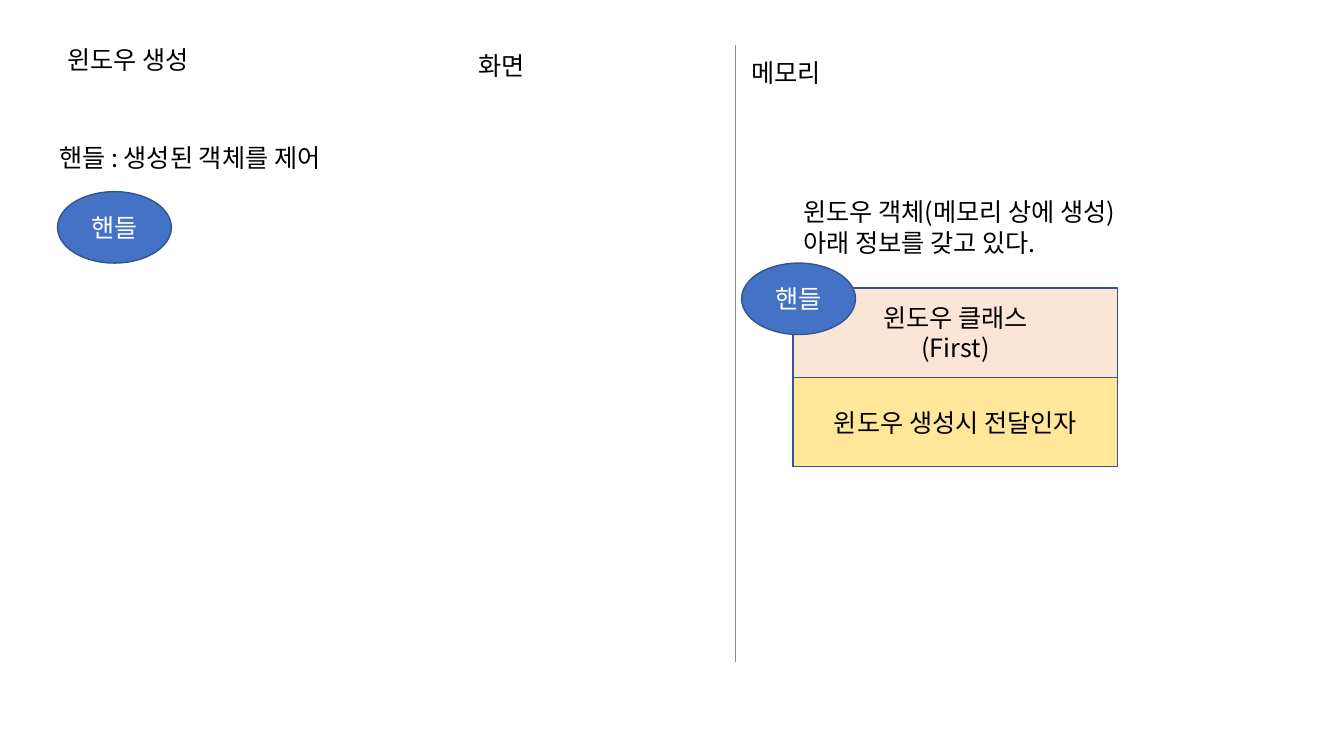
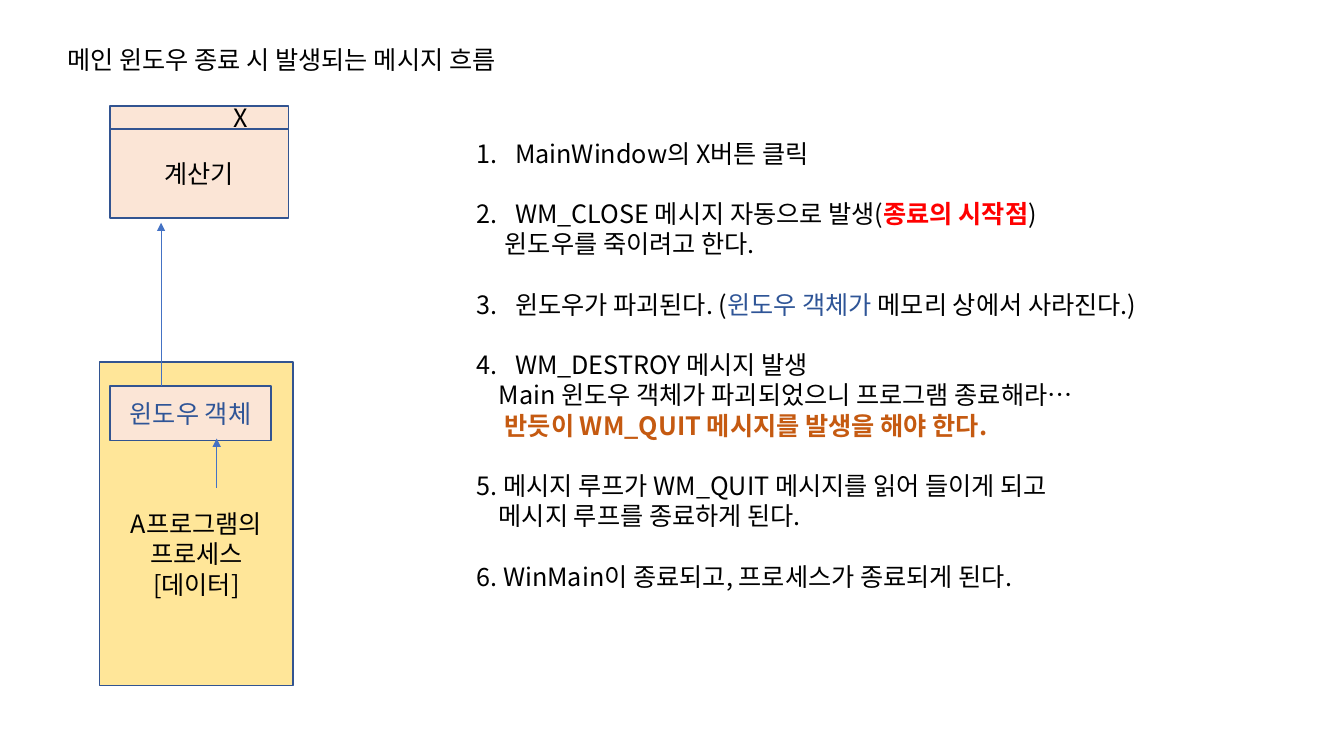
"""Build two slides on how a window is created and how it closes."""
from dataclasses import dataclass

from lxml import etree
from pptx import Presentation
from pptx.dml.color import RGBColor
from pptx.enum.shapes import MSO_CONNECTOR, MSO_SHAPE
from pptx.enum.text import MSO_ANCHOR, PP_ALIGN
from pptx.oxml.ns import qn
from pptx.util import Cm, Pt

RECT, OVAL = MSO_SHAPE.RECTANGLE, MSO_SHAPE.OVAL
LEFT, CENTER = PP_ALIGN.LEFT, PP_ALIGN.CENTER
MIDDLE = MSO_ANCHOR.MIDDLE
STRAIGHT = MSO_CONNECTOR.STRAIGHT


@dataclass(frozen=True)
class Theme:
    font: str = "Noto Sans CJK KR"
    size: float = 18
    lead: float = 21.6
    edge: float = 1
    thin: float = 0.5
    black: str = "000000"
    white: str = "FFFFFF"
    gray: str = "8C8C8C"
    blue: str = "4472C4"
    navy: str = "325491"
    ink: str = "2F5597"
    peach: str = "FBE5D6"
    gold: str = "FFE699"
    red: str = "FF0000"
    rust: str = "C55A11"


theme = Theme()


def write(frame, text, color=theme.black, align=LEFT):
    """Fill a frame, one paragraph a line, with runs split at bars."""
    frame.word_wrap = True
    for row, line in enumerate(text.split("\n")):
        para = frame.add_paragraph() if row else frame.paragraphs[0]
        para.alignment = align
        para.line_spacing = Pt(theme.lead)
        for part in line.split("|"):
            run = para.add_run()
            run.text = part
            run.font.size = Pt(theme.size)
            run.font.name = theme.font
            run.font.color.rgb = RGBColor.from_string(color)
            east = etree.SubElement(run._r.get_or_add_rPr(), qn("a:ea"))
            east.set("typeface", theme.font)


def box(slide, kind, text, place, fill, color=theme.black):
    """Add an outlined shape with centred text and return its frame."""
    shape = slide.shapes.add_shape(kind, *map(Cm, place))
    shape.shadow.inherit = False
    shape.fill.solid()
    shape.fill.fore_color.rgb = RGBColor.from_string(fill)
    shape.line.color.rgb = RGBColor.from_string(theme.navy)
    shape.line.width = Pt(theme.edge)
    frame = shape.text_frame
    frame.vertical_anchor = MIDDLE
    write(frame, text, color, CENTER)
    return frame


deck = Presentation()
deck.slide_width, deck.slide_height = Cm(33.87), Cm(19.05)
blank = deck.slide_layouts[6]
birth, close = [deck.slides.add_slide(blank) for _ in range(2)]

labels = (
    (birth, "윈도우 생성", 1.45, 0.99, 3.94, 1.02),
    (birth, "화면", 11.81, 1.14, 1.8, 1.02),
    (birth, "메모리", 18.69, 1.32, 2.44, 1.02),
    (birth, "핸들 : 생성된 객체를 제어", 1.24, 3.45, 7.98, 1.02),
    (birth, "윈도우 객체(메모리 상에 생성)\n아래 정보를 갖고 있다.",
     19.99, 4.83, 9.27, 1.8),
    (close, "메인 윈도우 종료 시 발생되는 메시지 흐름", 1.45, 0.99, 12.78, 1.02),
)
for slide, text, *place in labels:
    write(slide.shapes.add_textbox(*map(Cm, place)).text_frame, text)

parts = (("윈도우 클래스\n(First)", theme.peach),
         ("윈도우 생성시 전달인자", theme.gold))
for row, (text, fill) in enumerate(parts):
    box(birth, RECT, text, (19.99, 7.26 + row * 2.25, 8.18, 2.25), fill)
for left, top in ((18.69, 6.63), (1.45, 4.83)):
    box(birth, OVAL, "핸들", (left, top, 2.87, 1.8), theme.blue, theme.white)

box(close, RECT, "계산기", (2.77, 3.25, 4.5, 2.25), theme.peach)
bar = box(close, RECT, "X", (2.77, 2.67, 4.5, 0.58), theme.peach)
bar.margin_left = Cm(2.36)
data = box(close, RECT, "A프로그램의\n프로세스\n[데이터]",
           (2.51, 9.12, 4.88, 8.15), theme.gold)
data.margin_top = Cm(1.65)
box(close, RECT, "윈도우 객체", (2.77, 9.73, 4.06, 1.37), theme.peach, theme.ink)

steps = (
    (1, 0.97, "MainWindow의 X버튼 클릭"),
    (2, 0.97, "WM_CLOSE 메시지 자동으로 발생(|종료의 시작점|)"),
    (0, 0.71, "윈도우를 죽이려고 한다."),
    (3, 0.97, "윈도우가 파괴된다. (|윈도우 객체가 |메모리 상에서 사라진다.)"),
    (4, 0.97, "WM_DESTROY 메시지 발생"),
    (0, 0.56, "Main 윈도우 객체가 파괴되었으니 프로그램 종료해라…"),
    (0, 0.71, "반듯이 WM_QUIT 메시지를 발생을 해야 한다."),
    (5, 0, "5. 메시지 루프가 WM_QUIT 메시지를 읽어 들이게 되고"),
    (0, 0.56, "메시지 루프를 종료하게 된다."),
    (6, 0, "6. WinMain이 종료되고, 프로세스가 종료되게 된다."),
)
flow = close.shapes.add_textbox(Cm(11.76), Cm(3.35), Cm(19.33), Cm(11.79)).text_frame
write(flow, "\n".join(text for _, _, text in steps))
for para, (num, dent, _) in zip(flow.paragraphs, steps):
    props = para._p.get_or_add_pPr()
    props.set("marL", str(Cm(dent)))
    if num > 1:
        para.space_before = Pt(theme.lead)
    if num and dent:
        props.set("indent", str(-Cm(dent)))
        mark = etree.SubElement(props, qn("a:buAutoNum"))
        mark.set("type", "arabicPeriod")
        mark.set("startAt", str(num))

accents = ((1, 1, theme.red, True), (3, 1, theme.ink, False),
           (6, 0, theme.rust, True))
for row, spot, color, bold in accents:
    font = flow.paragraphs[row].runs[spot].font
    font.color.rgb = RGBColor.from_string(color)
    font.bold = bold

lines = (
    (birth, 18.52, 16.69, 1.14, theme.gray, False),
    (close, 4.06, 9.73, 5.61, theme.blue, True),
    (close, 5.46, 12.29, 11.05, theme.blue, True),
)
for slide, left, start, end, color, arrow in lines:
    line = slide.shapes.add_connector(STRAIGHT, Cm(left), Cm(start), Cm(left), Cm(end))
    line.line.color.rgb = RGBColor.from_string(color)
    line.line.width = Pt(theme.thin)
    if arrow:
        tip = etree.SubElement(line.line._get_or_add_ln(), qn("a:tailEnd"))
        tip.set("type", "triangle")
    etree.SubElement(line._element.spPr, qn("a:effectLst"))

deck.save("out.pptx")
